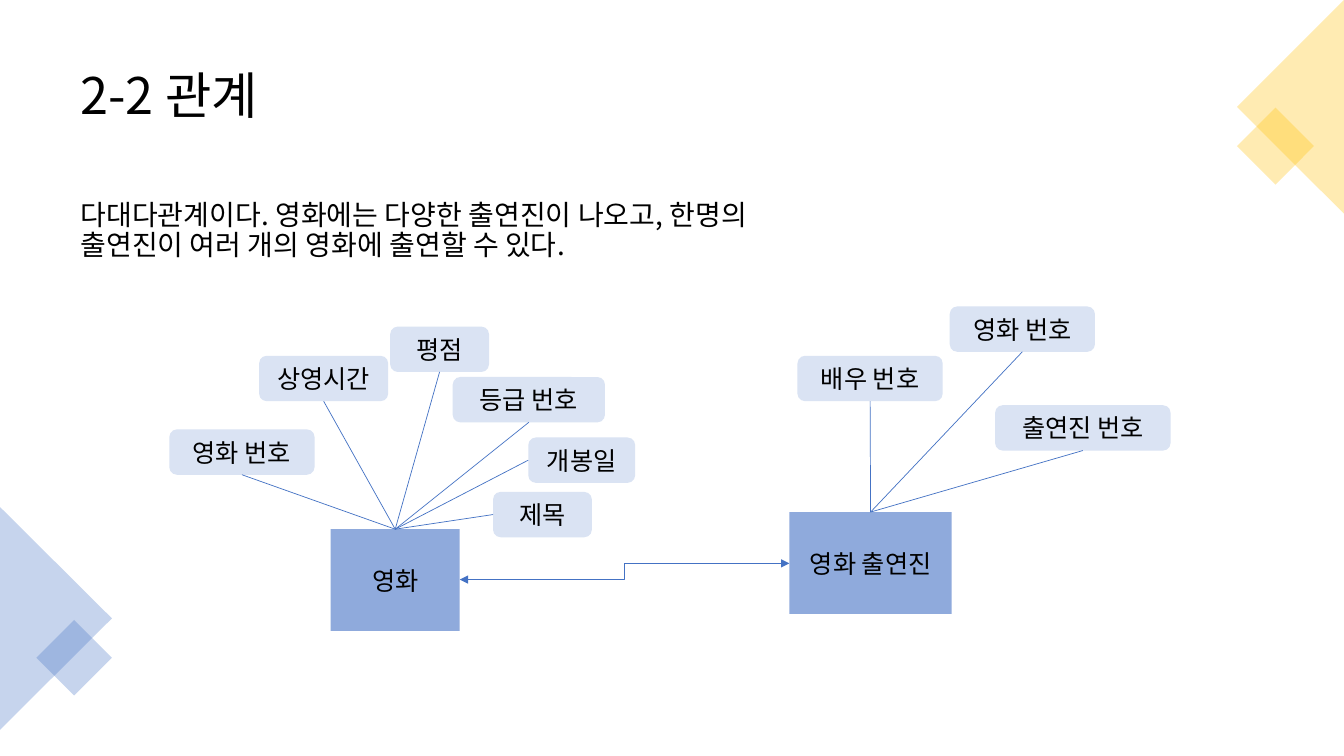
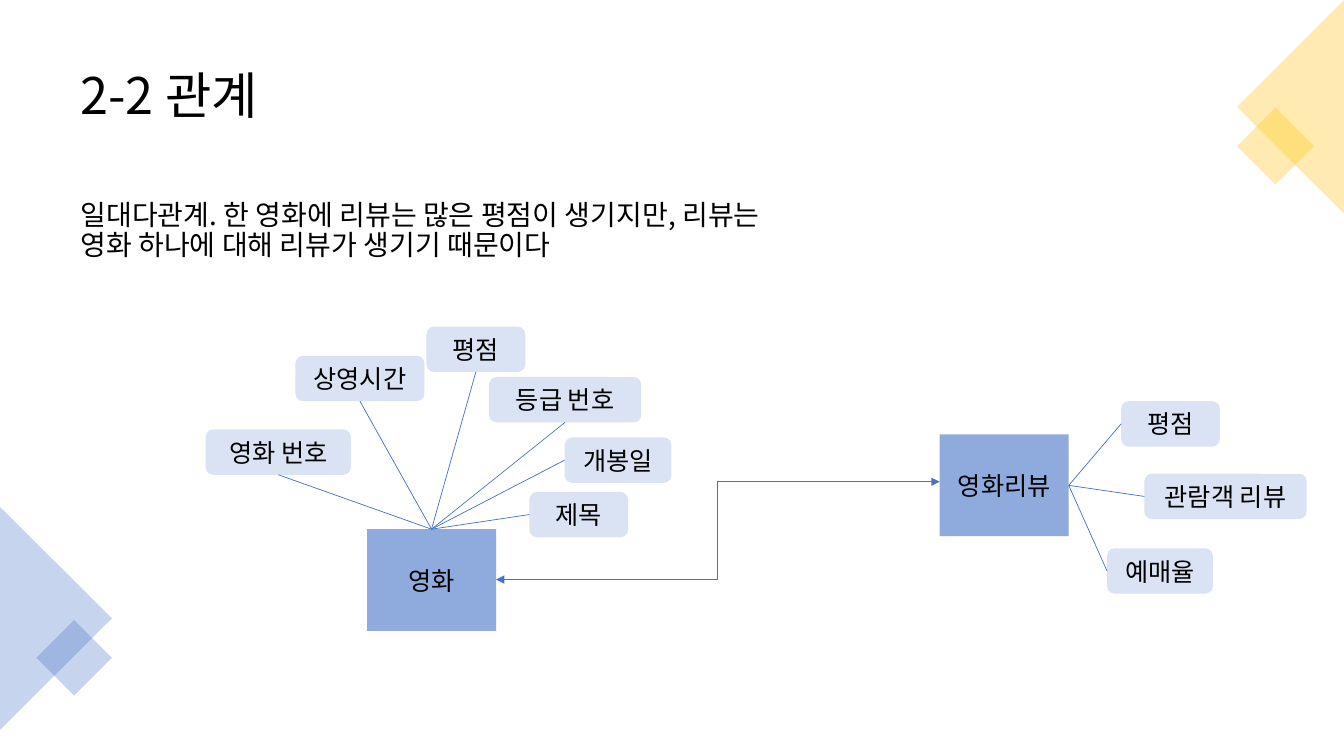
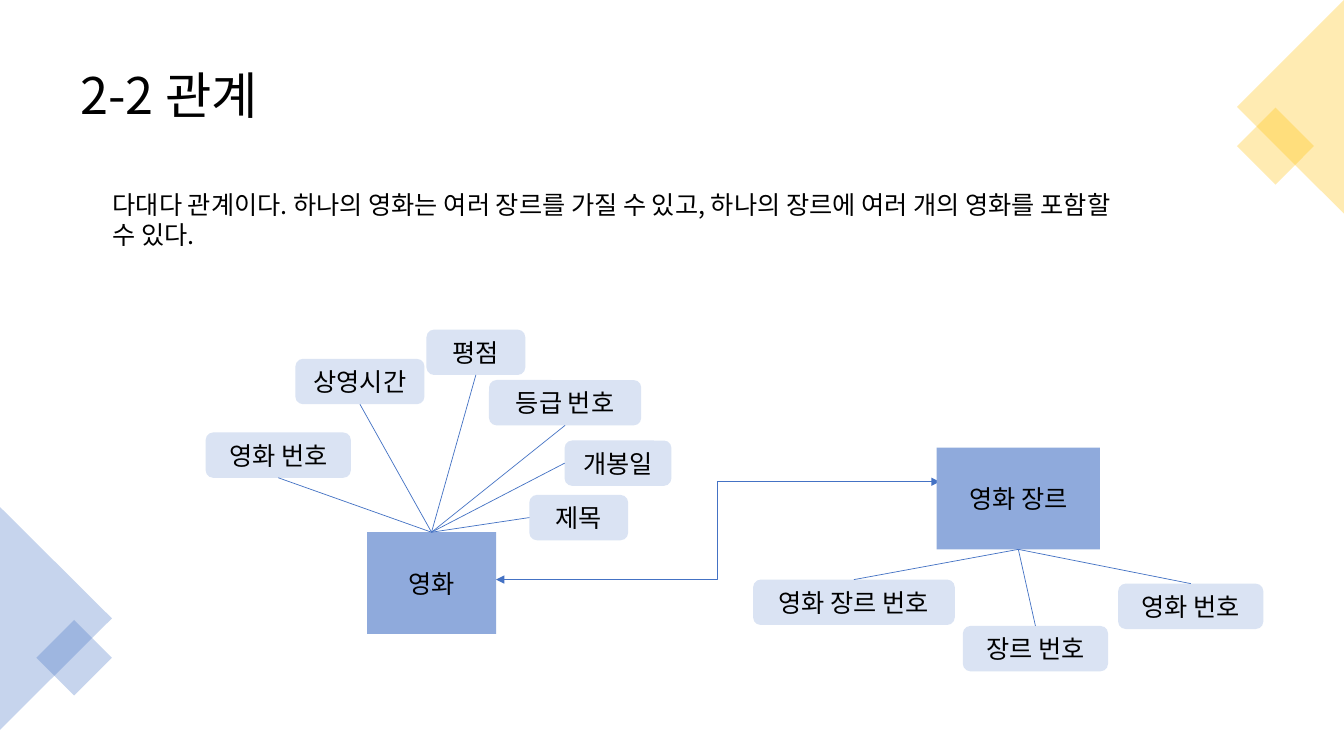
from lxml.etree import SubElement
from pptx import Presentation
from pptx.dml.color import RGBColor
from pptx.enum.shapes import MSO_CONNECTOR as Connector, MSO_SHAPE as Shape
from pptx.enum.text import MSO_ANCHOR as Anchor, PP_ALIGN as Align
from pptx.oxml.ns import qn
from pptx.util import Emu, Pt

EMU_PER_PX = 9144  # 100 px to the inch
FONT = "Noto Sans CJK KR"
COLORS = {
    "text": "000000",
    "yellow": "FFC000",
    "blue": "4472C4",
    "entity": "8FAADC",
    "attribute": "DAE3F3",
}
TOP, LEFT, BOTTOM, RIGHT = range(4)
ENTITY_HEIGHT, ATTRIBUTE_HEIGHT = 101, 45

# Attributes: text, x and y from the entity's corner, width, joined side
MOVIE_ATTRIBUTES = [
    ("영화 번호", -160, -99, 144, BOTTOM),
    ("제목", 161, -37, 98, LEFT),
    ("평점", 59, -201, 98, BOTTOM),
    ("개봉일", 196, -91, 106, LEFT),
    ("상영시간", -71, -172, 128, BOTTOM),
    ("등급 번호", 121, -151, 151, BOTTOM),
]
CAST_ATTRIBUTES = [
    ("출연진 번호", 204, -106, 174, BOTTOM),
    ("배우 번호", 8, -155, 144, BOTTOM),
    ("영화 번호", 159, -204, 144, BOTTOM),
]
REVIEW_ATTRIBUTES = [
    ("평점", 180, -33, 98, LEFT),
    ("예매율", 166, 113, 105, LEFT),
    ("관람객 리뷰", 203, 39, 161, LEFT),
]
GENRE_ATTRIBUTES = [
    ("장르 번호", 26, 177, 144, TOP),
    ("영화 번호", 180, 135, 144, TOP),
    ("영화 장르 번호", -182, 131, 200, TOP),
]


def px(*lengths):
    return [Emu(round(length * EMU_PER_PX)) for length in lengths]


def color(name):
    return RGBColor.from_string(COLORS[name])


def write(shape, text, size, align=Align.LEFT, spacing=None):
    paragraph = shape.text_frame.paragraphs[0]
    paragraph.text = text
    paragraph.alignment = align
    paragraph.line_spacing = spacing
    font = paragraph.font
    font.size = Pt(size)
    font.color.rgb = color("text")
    font.name = FONT
    properties = paragraph._p.pPr.find(qn("a:defRPr"))
    SubElement(properties, qn("a:ea"), typeface=FONT)


def add_text(slide, box, text, size, anchor=Anchor.TOP, spacing=None):
    shape = slide.shapes.add_textbox(*px(*box))
    shape.text_frame.word_wrap = True
    shape.text_frame.vertical_anchor = anchor
    write(shape, text, size, spacing=spacing)


def add_filled(slide, kind, box, fill):
    shape = slide.shapes.add_shape(kind, *px(*box))
    shape.shadow.inherit = False
    shape.fill.solid()
    shape.fill.fore_color.rgb = color(fill)
    shape.line.fill.background()
    return shape


def add_label(slide, kind, box, fill, text):
    shape = add_filled(slide, kind, box, fill)
    shape.text_frame.word_wrap = False
    shape.text_frame.vertical_anchor = Anchor.MIDDLE
    write(shape, text, 18, Align.CENTER)
    return shape


def add_line(slide, kind, start=(0, 0), end=(0, 0)):
    line = slide.shapes.add_connector(kind, *px(*start, *end))
    line.line.color.rgb = color("blue")
    line.line.width = Pt(0.5)
    SubElement(line._element.spPr, qn("a:effectLst"))
    return line


def add_corner(slide, box, rotation, diamond, fill):
    """Triangle filling box, pointing inwards, with a small diamond over it."""
    left, top, depth, length = box
    dx, dy, size = diamond
    flat_box = (left + (depth - length) / 2, top + (length - depth) / 2, length, depth)
    parts = [
        (Shape.ISOSCELES_TRIANGLE, flat_box, rotation),
        (Shape.RECTANGLE, (left + dx, top + dy, size, size), 45),
    ]
    for kind, part_box, angle in parts:
        shape = add_filled(slide, kind, part_box, fill)
        shape.rotation = angle
        rgb = shape._element.spPr.find(".//" + qn("a:srgbClr"))
        SubElement(rgb, qn("a:alpha"), val="30000")


def add_entity(slide, left, top, width, name, side, attributes):
    """Entity box with its attributes joined to the middle of one side."""
    entity = add_label(slide, Shape.RECTANGLE, (left, top, width, ENTITY_HEIGHT),
                       "entity", name)
    for text, dx, dy, attribute_width, attribute_side in attributes:
        box = (left + dx, top + dy, attribute_width, ATTRIBUTE_HEIGHT)
        attribute = add_label(slide, Shape.ROUNDED_RECTANGLE, box, "attribute", text)
        line = add_line(slide, Connector.STRAIGHT)
        line.begin_connect(attribute, attribute_side)
        line.end_connect(entity, side)


def add_relation(slide, start, end):
    """Elbow line with an arrowhead at both ends."""
    relation = add_line(slide, Connector.ELBOW, start, end)
    outline = relation.line._get_or_add_ln()
    for tag in ("a:headEnd", "a:tailEnd"):
        SubElement(outline, qn(tag), type="triangle")


def add_relation_slide(presentation, movie_at, other, relation):
    slide = presentation.slides.add_slide(presentation.slide_layouts[6])
    add_corner(slide, (1227, 0, 106, 212), 270, (11, 118, 54), "yellow")
    add_text(slide, (70, 35, 1193, 124), "2-2 관계", 36, Anchor.MIDDLE, 0.9)
    add_corner(slide, (0, 503, 111, 221), 90, (47, 123, 53), "blue")
    add_relation(slide, *relation)
    add_entity(slide, *movie_at, 128, "영화", TOP, MOVIE_ATTRIBUTES)
    add_entity(slide, *other)
    return slide


def main():
    presentation = Presentation()
    presentation.slide_width, presentation.slide_height = px(1333, 750)
    body_box = (70, 195, 748, 481)

    slide = add_relation_slide(
        presentation, (328, 525),
        (783, 508, 161, "영화 출연진", TOP, CAST_ATTRIBUTES),
        ((456, 575), (783, 559)))
    add_text(slide, body_box, "다대다관계이다. 영화에는 다양한 출연진이 나오고, "
             "한명의 출연진이 여러 개의 영화에 출연할 수 있다.", 20, spacing=0.9)

    slide = add_relation_slide(
        presentation, (364, 525),
        (932, 431, 128, "영화리뷰", RIGHT, REVIEW_ATTRIBUTES),
        ((492, 575), (932, 478)))
    add_text(slide, body_box, "일대다관계. 한 영화에 리뷰는 많은 평점이 생기지만, "
             "리뷰는 영화 하나에 대해 리뷰가 생기기 때문이다", 20, spacing=0.9)

    slide = add_relation_slide(
        presentation, (364, 528),
        (929, 444, 162, "영화 장르", BOTTOM, GENRE_ATTRIBUTES),
        ((492, 575), (932, 478)))
    add_text(slide, (102, 183, 1020, 101), "다대다 관계이다. 하나의 영화는 여러 장르를 "
             "가질 수 있고, 하나의 장르에 여러 개의 영화를 포함할 수 있다.", 18)

    presentation.save("out.pptx")


if __name__ == "__main__":
    main()
